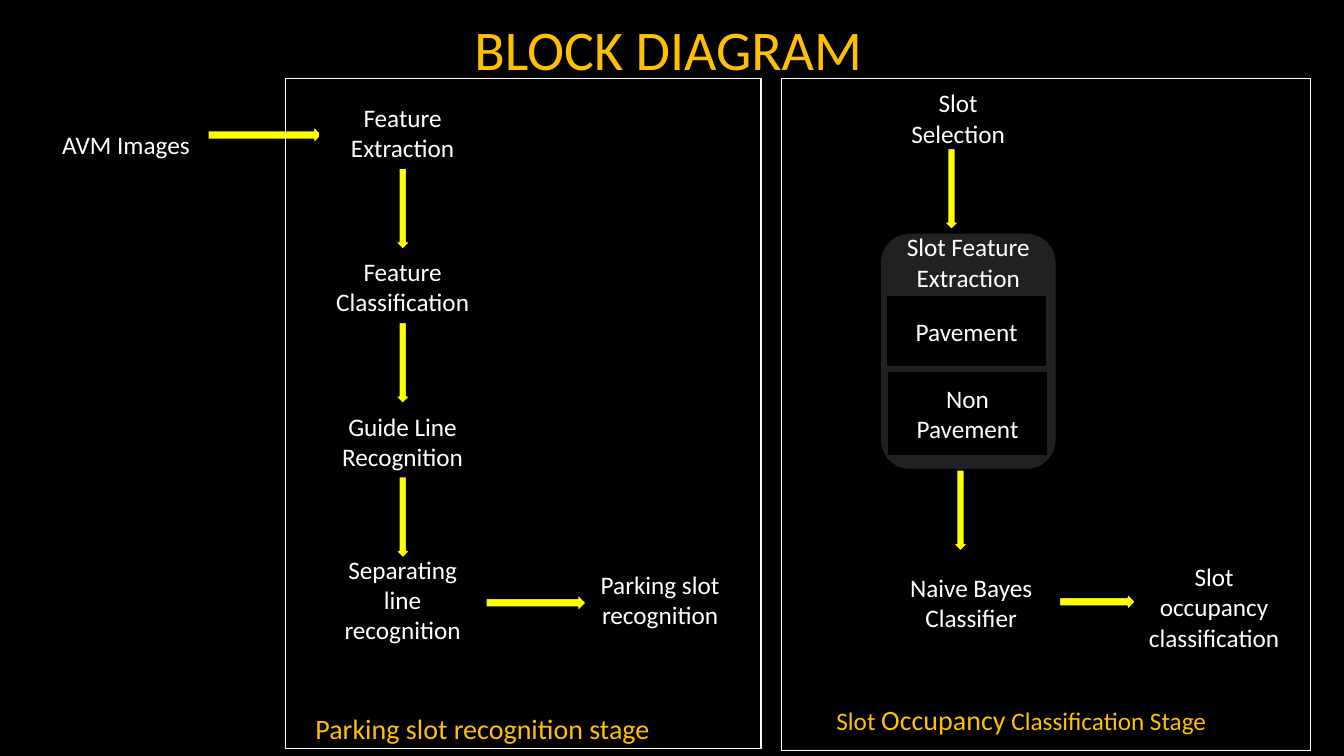
"""Builds the block diagram slide of a parking slot recognition pipeline."""
from dataclasses import dataclass

import pptx
import pptx.dml.color
import pptx.enum.shapes
import pptx.enum.text
import pptx.util

Pt = pptx.util.Pt
Preset = pptx.enum.shapes.MSO_SHAPE
Align = pptx.enum.text.PP_ALIGN
Anchor = pptx.enum.text.MSO_ANCHOR


@dataclass(frozen=True)
class Theme:
    font: str = "Calibri"
    background: str = "000000"
    panel: str = "212123"
    accent: str = "FFC000"
    arrow: str = "FFFF00"
    ink: str = "FFFFFF"
    title_size: int = 40
    caption_size: int = 20
    body_size: int = 18


def rgb(code):
    return pptx.dml.color.RGBColor.from_string(code)


def write(frame, runs, *, font, color, align=Align.CENTER, anchor=Anchor.MIDDLE):
    frame.word_wrap = True
    frame.vertical_anchor = anchor
    paragraph = frame.paragraphs[0]
    paragraph.alignment = align
    for words, size in runs:
        run = paragraph.add_run()
        run.text = words
        run.font.name = font
        run.font.size = Pt(size)
        run.font.color.rgb = rgb(color)


class Diagram:
    def __init__(self, slide, theme):
        self.slide = slide
        self.theme = theme
        slide.background.fill.solid()
        slide.background.fill.fore_color.rgb = rgb(theme.background)

    def title(self, words, left, top, width, height):
        heading = self.slide.shapes.title
        heading.left, heading.top = Pt(left), Pt(top)
        heading.width, heading.height = Pt(width), Pt(height)
        write(heading.text_frame, [(words, self.theme.title_size)],
              font=self.theme.font, color=self.theme.accent)

    def shape(self, preset, left, top, width, height, fill=None, line=None, weight=1.25):
        item = self.slide.shapes.add_shape(preset, Pt(left), Pt(top), Pt(width), Pt(height))
        item.shadow.inherit = False
        if fill:
            item.fill.solid()
            item.fill.fore_color.rgb = rgb(fill)
        else:
            item.fill.background()
        item.line.color.rgb = rgb(line or self.theme.background)
        item.line.width = Pt(weight)
        return item

    def block(self, words, left, top, width, height):
        block = self.shape(Preset.RECTANGLE, left, top, width, height, self.theme.background)
        write(block.text_frame, [(words, self.theme.body_size)],
              font=self.theme.font, color=self.theme.ink)

    def arrow_down(self, left, top):
        self.shape(Preset.DOWN_ARROW, left, top, 11.5, 58.3, self.theme.arrow)

    def arrow_right(self, left, top, width):
        self.shape(Preset.RIGHT_ARROW, left, top, width, 12.8, self.theme.arrow)

    def panel(self, left, top, width, height):
        self.shape(Preset.ROUNDED_RECTANGLE, left, top, width, height, self.theme.panel)

    def stage_frame(self, left, top, width, height):
        self.shape(Preset.RECTANGLE, left, top, width, height, line=self.theme.ink, weight=0.75)

    def label(self, runs, left, top, width, height, **style):
        box = self.slide.shapes.add_textbox(Pt(left), Pt(top), Pt(width), Pt(height))
        write(box.text_frame, runs, font=self.theme.font, anchor=Anchor.TOP, **style)


def draw_recognition_stage(diagram):
    theme = diagram.theme
    diagram.block("AVM Images", 31.7, 74.2, 116.6, 58.3)
    diagram.arrow_right(148.3, 90, 82)
    steps = ("Feature Extraction", "Feature Classification", "Guide Line Recognition")
    for row, step in enumerate(steps):
        diagram.block(step, 228.2, 69.3 + 110.3 * row, 118.8, 50.4)
        diagram.arrow_down(282, 120 + 110.2 * row)
    diagram.block("Separating line recognition", 228.2, 398.9, 118.8, 58.3)
    diagram.arrow_right(347, 424.2, 72)
    diagram.block("Parking slot recognition", 419, 398.9, 105.1, 58.3)
    diagram.stage_frame(203.8, 56.2, 339.8, 478.8)
    diagram.label([("Parking slot recognition stage", theme.caption_size)],
                  218.2, 504.7, 324.7, 31.7, color=theme.accent, align=Align.LEFT)


def draw_occupancy_stage(diagram):
    theme = diagram.theme
    diagram.block("Slot Selection", 628.6, 61.9, 111.6, 44.6)
    diagram.arrow_down(673.9, 105.9)
    diagram.panel(628.6, 166.3, 126, 169.2)
    diagram.label([("Slot Feature Extraction", theme.body_size)],
                  628.6, 162, 126, 50.4, color=theme.ink)
    diagram.block("Pavement", 634.3, 212.4, 112.3, 48.2)
    diagram.block("Non Pavement", 635, 266.4, 112.3, 58.3)
    diagram.arrow_down(680.4, 335.5)
    diagram.block("Naive Bayes Classifier", 630.7, 393.8, 126, 72.7)
    diagram.arrow_right(756.7, 423.4, 54.7)
    diagram.block("Slot occupancy classification", 810.7, 393.8, 113, 79.2)
    diagram.stage_frame(558, 56.2, 378, 480.2)
    diagram.label([("Slot ", theme.body_size), ("Occupancy", theme.caption_size),
                   (" Classification Stage", theme.body_size)],
                  590.4, 498.2, 300.2, 31.7, color=theme.accent, align=Align.LEFT)


def main():
    deck = pptx.Presentation()
    deck.slide_width, deck.slide_height = Pt(960), Pt(540)
    slide = deck.slides.add_slide(deck.slide_layouts[5])
    diagram = Diagram(slide, Theme())
    diagram.title("BLOCK DIAGRAM", 0, 0, 954.7, 68.4)
    draw_recognition_stage(diagram)
    draw_occupancy_stage(diagram)
    deck.save("out.pptx")


if __name__ == "__main__":
    main()
